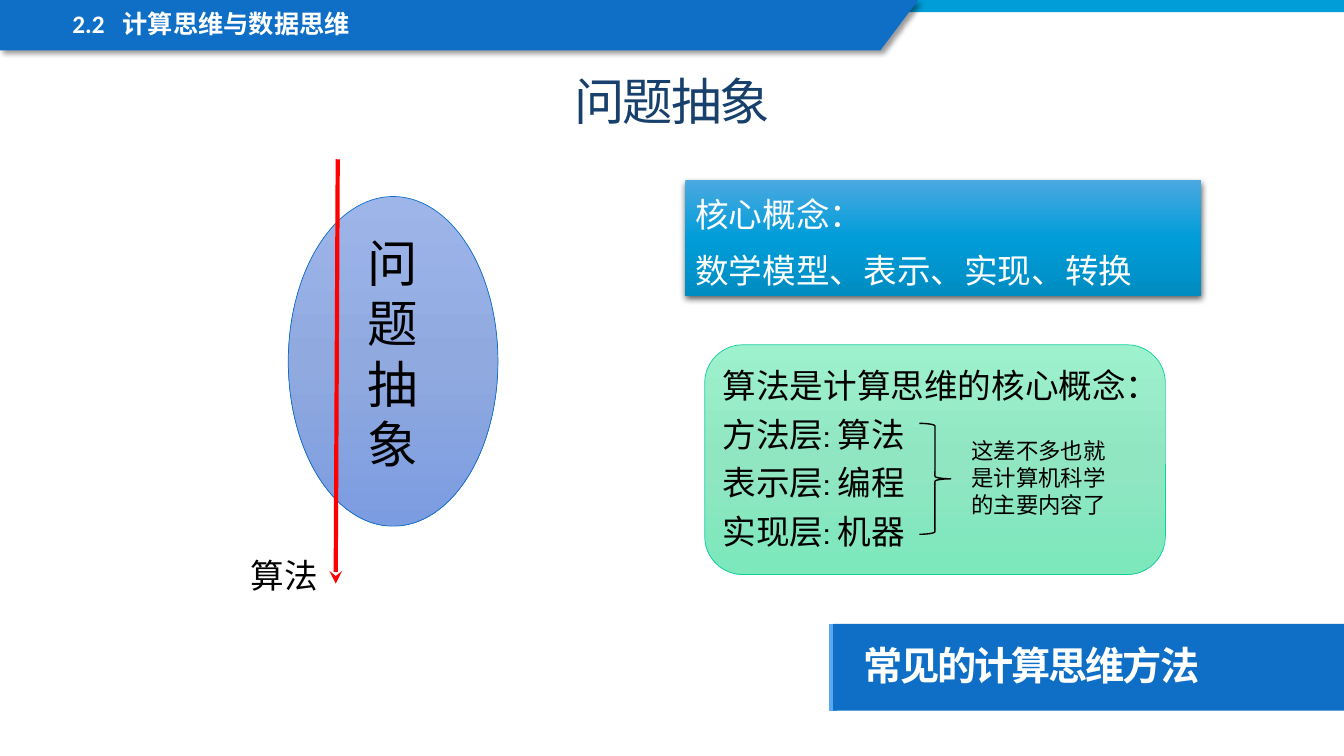
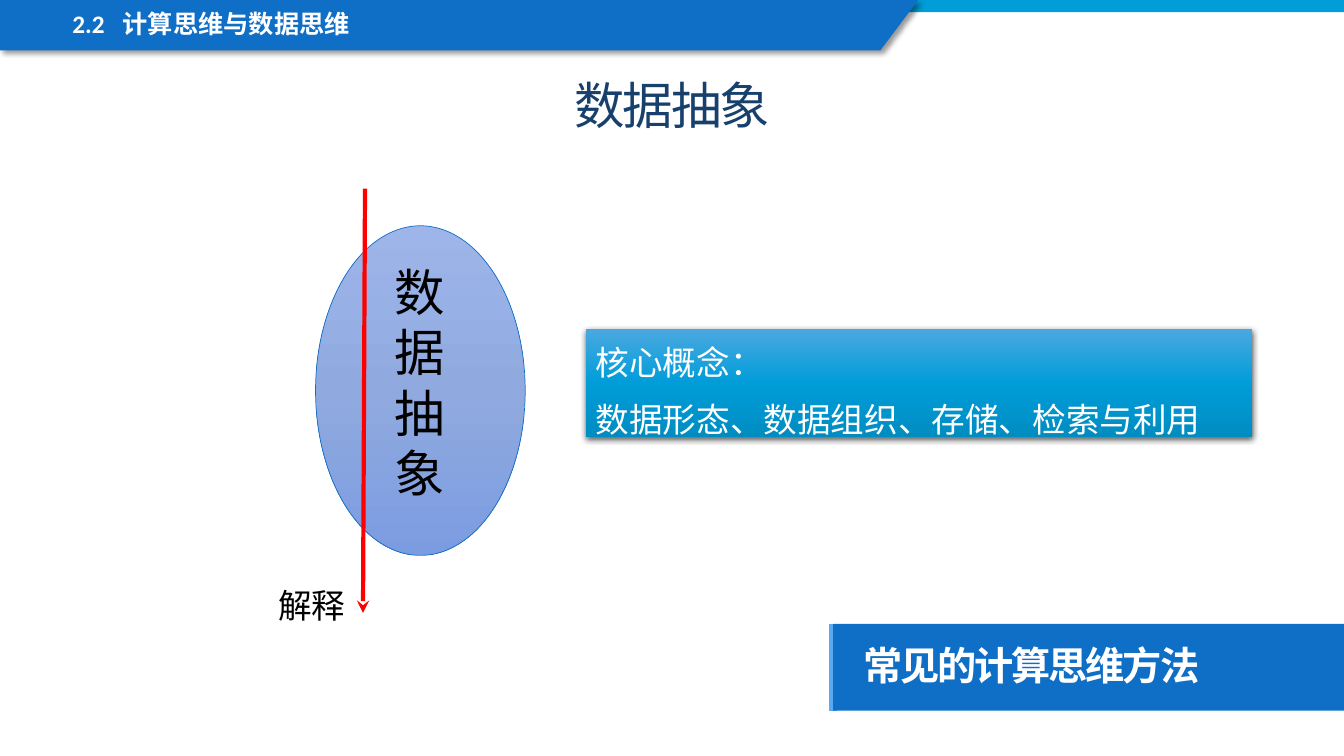
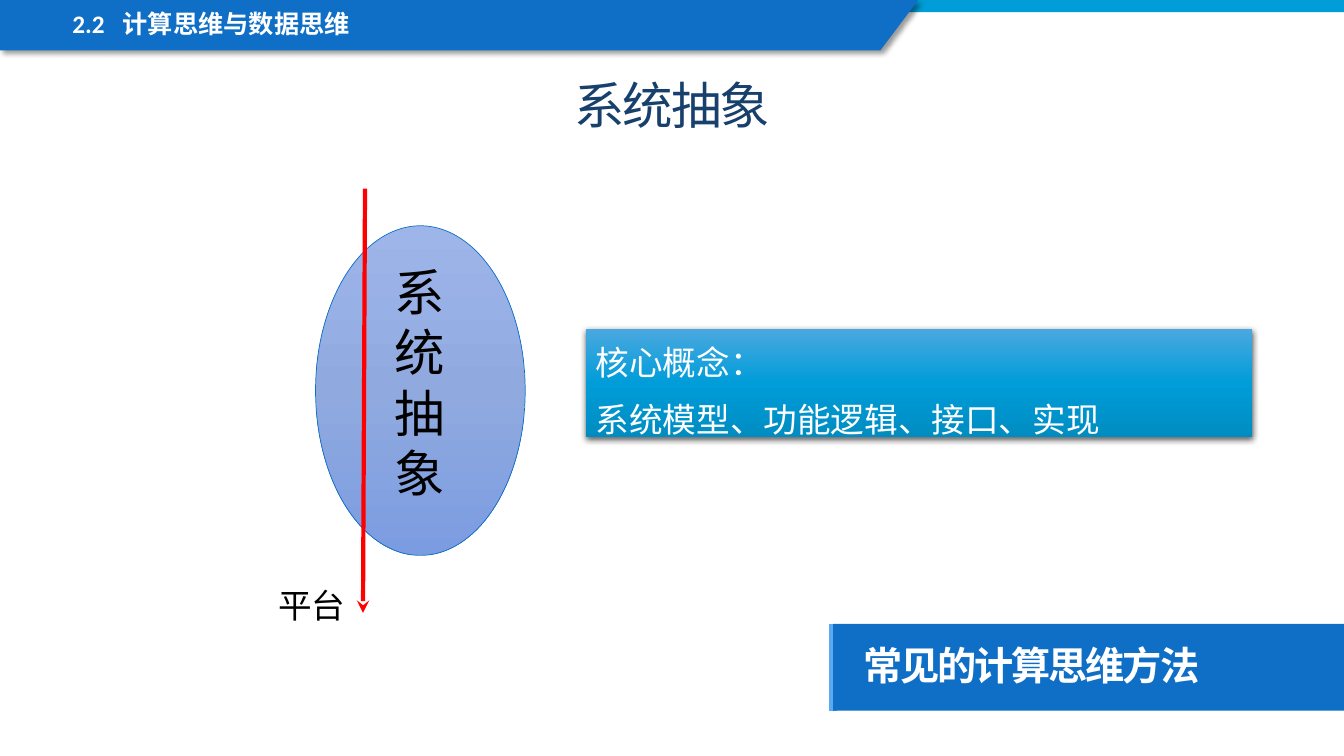
"""Build three slides on problem, data and system abstraction."""
from dataclasses import dataclass

from lxml.etree import SubElement
from pptx import Presentation
from pptx.dml.color import RGBColor
from pptx.enum.shapes import MSO_CONNECTOR, MSO_SHAPE
from pptx.enum.text import MSO_ANCHOR, PP_ALIGN
from pptx.oxml.ns import qn
from pptx.util import Inches, Pt

WIDE, HIGH = Inches(13.33), Inches(7.5)


@dataclass(frozen=True)
class Theme:
    """Colours, fonts and type styles of the deck."""
    blue: str = "0F6FC6"
    cyan: str = "009DD9"
    edge: str = "59AAF2"
    red: str = "FF0000"
    green: str = "10CF9B"
    black: str = "000000"
    sky: tuple = ("4BA8E0", "009DD9", "008CC1")
    mint: tuple = ("9EF1CD", "91E6C2", "7CE8BC")
    iris: tuple = ("9EB5EA", "90AAE0", "7C9CE1")

    def style(self, name):
        """Return font, colour, tracking and paragraph values of a style."""
        noto, cabin = "Noto Sans CJK SC", "Cabin"
        return {
            "title": dict(font=dict(size=Pt(36), name=noto), color="17406D", track=-150,
                          para=dict(line_spacing=0.9, alignment=PP_ALIGN.CENTER)),
            "banner": dict(font=dict(size=Pt(28), name=noto, bold=True), color="FFFFFF",
                           track=-150, para=dict(line_spacing=0.9)),
            "head": dict(font=dict(size=Pt(18), name="Calibri", bold=True), color="FFFFFF",
                         para=dict(line_spacing=0.9), tab=Inches(0.5)),
            "core": dict(font=dict(size=Pt(24), name=cabin), color="FFFFFF",
                         para=dict(line_spacing=1.2, space_after=Pt(6))),
            "body": dict(font=dict(size=Pt(24), name=cabin), color=self.black, para={}, gap=Pt(6)),
            "note": dict(font=dict(size=Pt(16), name=cabin), color=self.black, para={}),
            "tall": dict(font=dict(size=Pt(36), name=cabin), color=self.black,
                         para=dict(alignment=PP_ALIGN.CENTER)),
        }[name]


THEME = Theme()


def col(share):
    """Turn a share of the slide's width, in percent, into a length."""
    return round(WIDE * share / 100)


def row(share):
    """Turn a share of the slide's height, in percent, into a length."""
    return round(HIGH * share / 100)


def place(at):
    """Turn left, top, width and height shares into lengths."""
    left, top, width, height = at
    return col(left), row(top), col(width), row(height)


def apply(item, values):
    """Set each named value on an item."""
    for name, value in values.items():
        setattr(item, name, value)


def write(shape, lines, style, **frame):
    """Write lines of text in a style of the theme."""
    look = THEME.style(style)
    apply(shape.text_frame, dict(word_wrap=True, vertical_anchor=MSO_ANCHOR.TOP) | frame)
    for index, line in enumerate(lines):
        para = shape.text_frame.paragraphs[0] if index == 0 else shape.text_frame.add_paragraph()
        apply(para, dict(alignment=PP_ALIGN.LEFT) | look["para"])
        if index and "gap" in look:
            para.space_before = look["gap"]
        if "tab" in look:
            stops = SubElement(para._p.get_or_add_pPr(), qn("a:tabLst"))
            SubElement(stops, qn("a:tab"), pos=str(look["tab"]), algn="l")
        run = para.add_run()
        run.text = line
        apply(run.font, look["font"])
        run.font.color.rgb = RGBColor.from_string(look["color"])
        props = run._r.get_or_add_rPr()
        SubElement(props, qn("a:ea"), typeface=look["font"]["name"])
        if "track" in look:
            props.set("spc", str(look["track"]))


def label(tree, at, lines, style, **frame):
    """Add a text box."""
    write(tree.add_textbox(*place(at)), lines, style, **frame)


def blend(shape, tones):
    """Fill a shape with an even gradient from top to bottom."""
    shape.fill.gradient()
    shape.fill.gradient_angle = 270
    stops = shape._element.spPr.find(qn("a:gradFill")).find(qn("a:gsLst"))
    stops.clear()
    for index, tone in enumerate(tones):
        stop = SubElement(stops, qn("a:gs"), pos=str(index * 100000 // (len(tones) - 1)))
        SubElement(stop, qn("a:srgbClr"), val=tone)


def shade(shape, alpha, blur, dist, angle):
    """Cast a black shadow from a shape."""
    effects = shape._element.spPr.find(qn("a:effectLst"))
    cast = SubElement(effects, qn("a:outerShdw"), blurRad=str(Pt(blur)), dist=str(Pt(dist)),
                      dir=str(angle * 60000), algn="tl", rotWithShape="0")
    tone = SubElement(cast, qn("a:srgbClr"), val=THEME.black)
    SubElement(tone, qn("a:alpha"), val=str(alpha * 1000))


def paint(shape, fill=None, line=None, width=0.5):
    """Give a shape its fill and line, without a shadow."""
    shape.shadow.inherit = False
    if isinstance(fill, tuple):
        blend(shape, fill)
    elif fill:
        shape.fill.solid()
        shape.fill.fore_color.rgb = RGBColor.from_string(fill)
    else:
        shape.fill.background()
    if line:
        shape.line.color.rgb = RGBColor.from_string(line)
        shape.line.width = Pt(width)
    else:
        shape.line.fill.background()
    return shape


def block(tree, kind, at, **look):
    """Add a painted preset shape."""
    return paint(tree.add_shape(kind, *place(at)), **look)


def rule(tree, start, end, tone, width, head=None):
    """Add a straight line, with an arrowhead if one is named."""
    line = tree.add_connector(MSO_CONNECTOR.STRAIGHT, col(start[0]), row(start[1]),
                              col(end[0]), row(end[1]))
    line.line.color.rgb = RGBColor.from_string(tone)
    line.line.width = Pt(width)
    props = line._element.spPr
    if head:
        SubElement(props.find(qn("a:ln")), qn("a:tailEnd"), type=head)
    SubElement(props, qn("a:effectLst"))


def frame(tree):
    """Add the bands, section head and banner that all slides share."""
    rule(tree, (62, 94), (62, 82.53), THEME.edge, 6)
    block(tree, MSO_SHAPE.RECTANGLE, (0, 0, 100, 1.6), fill=THEME.cyan)
    pen = tree.build_freeform(0, 0)
    pen.add_line_segments([(col(68.32), 0), (col(65.5), row(6.67)), (0, row(6.67))])
    shade(paint(pen.convert_to_shape(), fill=THEME.blue), 40, 4, 3, 45)
    banner = block(tree, MSO_SHAPE.RECTANGLE, (62, 82.53, 38, 11.47), fill=THEME.blue)
    inset = Inches(0.2)
    write(banner, ["常见的计算思维方法"], "banner", vertical_anchor=MSO_ANCHOR.MIDDLE,
          margin_left=Inches(0.3), margin_right=inset, margin_top=inset, margin_bottom=inset)
    label(tree, (4.65, 0.93, 52.2, 5.07), ["2.2\t计算思维与数据思维"], "head")


def core(tree, at, terms):
    """Add the box of core concepts."""
    box = block(tree, MSO_SHAPE.RECTANGLE, at, fill=THEME.sky)
    shade(box, 63, 4.5, 1.5, 90)
    write(box, ["核心概念：", terms], "core")


def oval(tree, left, top, name, goal):
    """Add the oval with its upright name and the arrow to its goal."""
    block(tree, MSO_SHAPE.OVAL, (left, top, 15.6, 43.6), fill=THEME.iris, line=THEME.blue)
    label(tree, (left + 4.73, top + 4, 6.08, 33.6), [name], "tall")
    group = tree.add_group_shape().shapes
    rule(group, (left + 3.68, top - 4.93), (left + 3.53, top + 51.2), THEME.red, 3, "stealth")
    label(group, (left - 3.53, top + 46.8, 7.28, 6.8), [goal], "body")


def layers(tree):
    """Add the card on the layers of an algorithm."""
    group = tree.add_group_shape().shapes
    block(group, MSO_SHAPE.ROUNDED_RECTANGLE, (52.43, 45.6, 34.28, 30.4),
          fill=THEME.mint, line=THEME.green)
    label(group, (53.03, 47.6, 34.28, 26.27),
          ["算法是计算思维的核心概念：", "方法层: 算法", "表示层: 编程", "实现层: 机器"], "body")
    block(group, MSO_SHAPE.RIGHT_BRACE, (68.4, 56, 2.33, 14.67), line=THEME.black, width=1)
    label(group, (71.55, 57.2, 11.78, 12.13), ["这差不多也就是计算机科学的主要内容了"], "note")


def page(deck, name, goal, terms, title=(16.27, 10.13, 67.5, 8.27),
         box=(43.58, 43.47, 49.58, 14.4), spot=(23.48, 29.87), card=None):
    """Add one slide on a kind of abstraction."""
    tree = deck.slides.add_slide(deck.slide_layouts[6]).shapes
    frame(tree)
    label(tree, title, [name], "title", vertical_anchor=MSO_ANCHOR.MIDDLE)
    core(tree, box, terms)
    if card:
        card(tree)
    oval(tree, *spot, name, goal)


def main():
    """Build and save the deck."""
    deck = Presentation()
    apply(deck, dict(slide_width=WIDE, slide_height=HIGH))
    page(deck, "问题抽象", "算法", "数学模型、表示、实现、转换", title=(16.27, 9.33, 67.5, 8.8),
         box=(51, 23.87, 38.4, 15.33), spot=(21.45, 26), card=layers)
    page(deck, "数据抽象", "解释", "数据形态、数据组织、存储、检索与利用")
    page(deck, "系统抽象", "平台", "系统模型、功能逻辑、接口、实现")
    deck.save("out.pptx")


if __name__ == "__main__":
    main()
